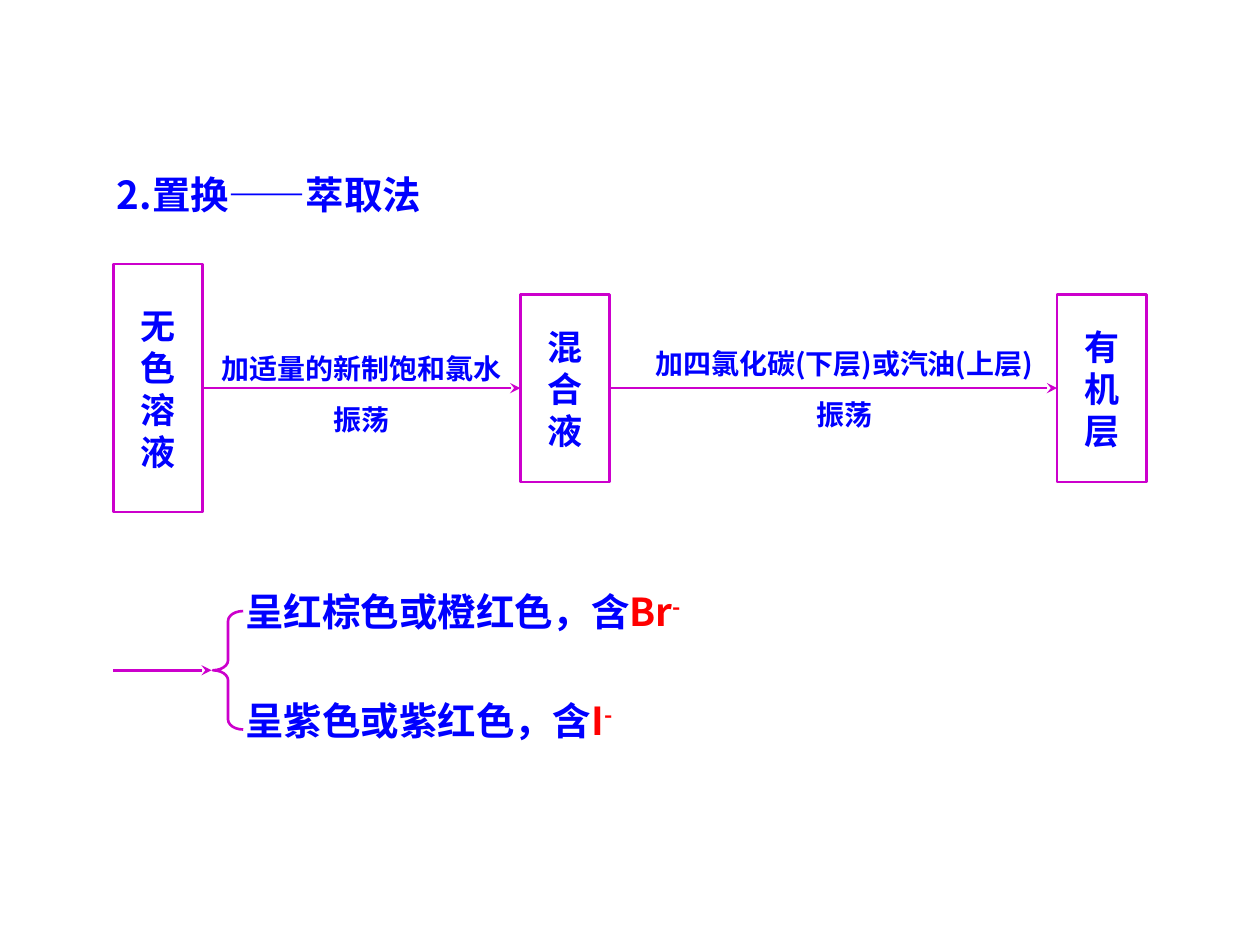
from dataclasses import dataclass

from lxml.etree import SubElement
from pptx import Presentation
from pptx.dml.color import RGBColor
from pptx.enum.shapes import MSO_CONNECTOR as Line, MSO_SHAPE as Shape
from pptx.enum.text import MSO_ANCHOR as Anchor, PP_ALIGN as Align
from pptx.oxml.ns import qn
from pptx.util import Inches, Pt


@dataclass(frozen=True)
class Theme:
    text: RGBColor = RGBColor(0x00, 0x00, 0xFF)
    ion: RGBColor = RGBColor(0xFF, 0x00, 0x00)
    line: RGBColor = RGBColor(0xCC, 0x00, 0xCC)
    cjk: str = "Noto Sans CJK SC"
    box_font: str = "Arial"
    heading: int = 22
    box: int = 20
    label: int = 16
    stroke: float = 1.5


THEME = Theme()
WIDTH, HEIGHT = Inches(10), Inches(7.5)
COLS, ROWS = 1000, 750
AXIS = 308                 # row on which the flow is centred
LEFT = 90                  # column where the flow and the result arrow start
BOX_W = 71
TEXT_W, TEXT_H = 575, 47


def x(col):
    return round(WIDTH * col / COLS)


def y(row):
    return round(HEIGHT * row / ROWS)


def place(col, row, cols, rows):
    return x(col), y(row), x(cols), y(rows)


def add_run(p, text, size, color=THEME.text, font=THEME.cjk, baseline=0):
    r = p.add_run()
    r.text = text
    r.font.size, r.font.bold, r.font.name = Pt(size), True, font
    r.font.color.rgb = color
    rPr = r.font._element
    SubElement(rPr, qn("a:ea")).set("typeface", THEME.cjk)
    if baseline:
        rPr.set("baseline", str(baseline))


def paragraphs(tf, count):
    """Yield the first paragraph of the frame, then new ones."""
    yield tf.paragraphs[0]
    for _ in range(count - 1):
        yield tf.add_paragraph()


def style_line(s):
    s.line.color.rgb = THEME.line
    s.line.width = Pt(THEME.stroke)


def add_outline(slide, kind, *area):
    s = slide.shapes.add_shape(kind, *place(*area))
    s.shadow.inherit = False
    s.fill.background()
    style_line(s)
    return s


def add_box(slide, col, rows, text):
    """Add a box centred on the flow axis, with one character a line."""
    s = add_outline(slide, Shape.RECTANGLE, col, AXIS - rows / 2, BOX_W, rows)
    tf = s.text_frame
    tf.word_wrap = False
    tf.vertical_anchor = Anchor.MIDDLE
    for p, char in zip(paragraphs(tf, len(text)), text):
        p.alignment = Align.CENTER
        add_run(p, char, THEME.box, font=THEME.box_font)
    return s


def add_text_frame(slide, *area):
    tf = slide.shapes.add_textbox(*place(*area)).text_frame
    tf.word_wrap = True
    return tf


def add_heading(slide, col, row, text, ion=None):
    p = add_text_frame(slide, col, row, TEXT_W, TEXT_H).paragraphs[0]
    add_run(p, text, THEME.heading)
    if ion:
        add_run(p, ion, THEME.heading, THEME.ion)
        add_run(p, "-", THEME.heading, THEME.ion, baseline=30000)


def add_step_label(slide, col, row, cols, lines):
    tf = add_text_frame(slide, col, row, cols, 90)
    for p, text in zip(paragraphs(tf, len(lines)), lines):
        p.alignment = Align.CENTER
        p.line_spacing = 1.5
        add_run(p, text, THEME.label)


def add_arrow(slide, start, end, row):
    s = slide.shapes.add_connector(Line.STRAIGHT, x(start), y(row), x(end), y(row))
    style_line(s)
    SubElement(s.line._get_or_add_ln(), qn("a:tailEnd")).set("type", "stealth")
    SubElement(s._element.spPr, qn("a:effectLst"))
    return s


def join(slide, source, target):
    s = add_arrow(slide, 0, 0, AXIS)
    s.begin_connect(source, 3)
    s.end_connect(target, 1)


def main():
    prs = Presentation()
    prs.slide_width, prs.slide_height = WIDTH, HEIGHT
    slide = prs.slides.add_slide(prs.slide_layouts[6])

    add_heading(slide, 83, 131, "2.置换——萃取法")

    boxes = [add_box(slide, col, rows, text) for col, rows, text in (
        (LEFT, 197, "无色溶液"), (413, 149, "混合液"), (839, 149, "有机层"))]
    for source, target in zip(boxes, boxes[1:]):
        join(slide, source, target)
    add_step_label(slide, 161, 261, 252, ("加适量的新制饱和氯水", "振荡"))
    add_step_label(slide, 469, 257, 402, ("加四氯化碳(下层)或汽油(上层)", "振荡"))

    add_arrow(slide, LEFT, 168, 532)
    brace = add_outline(slide, Shape.LEFT_BRACE, 169, 485, 24, 94)
    brace.adjustments[0] = 0.33
    add_heading(slide, 185, 462, "呈红棕色或橙红色，含", "Br")
    add_heading(slide, 185, 548, "呈紫色或紫红色，含", "I")

    prs.save("out.pptx")


if __name__ == "__main__":
    main()
